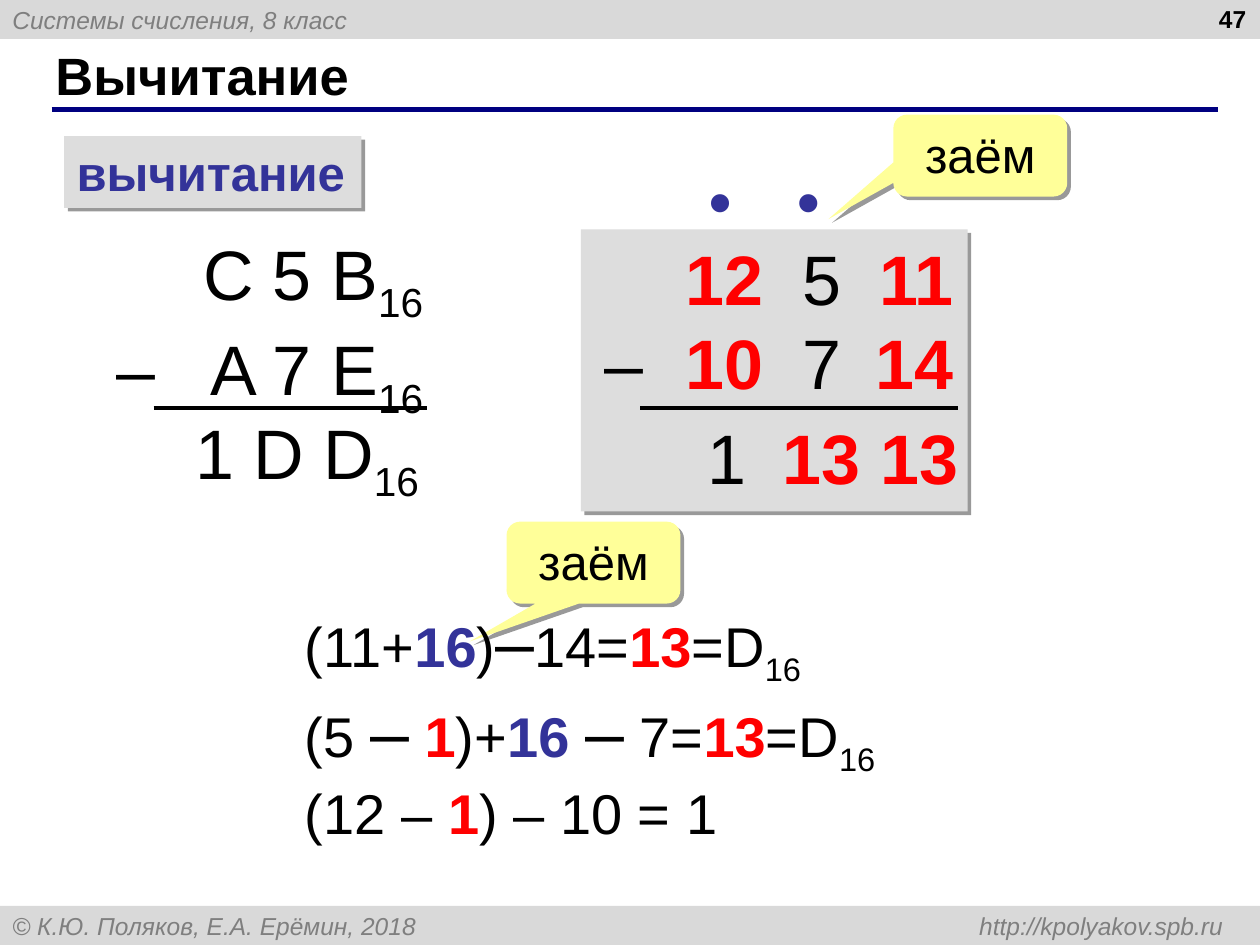
from lxml import etree
from pptx import Presentation
from pptx import util as u
from pptx.dml.color import RGBColor
from pptx.enum import shapes, text
from pptx.oxml.ns import qn

COLORS = {
    "black": "000000", "grey": "7F7F7F", "bar": "D9D9D9", "panel": "DDDDDD",
    "navy": "000080", "blue": "333399", "red": "FF0000", "note": "FFFF99",
}
COLS, ROWS = 100, 75
ALIGN = {"l": text.PP_ALIGN.LEFT, "c": text.PP_ALIGN.CENTER, "r": text.PP_ALIGN.RIGHT}
RECT = shapes.MSO_SHAPE.RECTANGLE
CALLOUT = shapes.MSO_SHAPE.ROUNDED_RECTANGULAR_CALLOUT


def rgb(name):
    return RGBColor.from_string(COLORS[name])


def red(t):
    return t, {"color": "red", "bold": True}


def blue(t):
    return t, {"color": "blue", "bold": True}


def big(t):
    return t, {"size": 40}


BASE = ("16", {"sub": True})


class Deck:
    font = "Arial"

    def __init__(self):
        self.prs = Presentation()
        self.prs.slide_width, self.prs.slide_height = u.Inches(10), u.Inches(7.5)
        self.s = self.prs.slides.add_slide(self.prs.slide_layouts[5])

    def grid(self, col, row):
        return int(self.prs.slide_width * col / COLS), int(self.prs.slide_height * row / ROWS)

    def box(self, at):
        return (*self.grid(*at[:2]), *self.grid(*at[2:]))

    def add_run(self, p, t, size, color="black", bold=False, italic=False, sub=False):
        r = p.add_run()
        r.text = t
        f = r.font
        f.name, f.size, f.bold, f.italic = self.font, u.Pt(size), bold, italic
        f.color.rgb = rgb(color)
        if sub:
            r._r.get_or_add_rPr().set("baseline", "-25000")

    def fill_text(self, sp, lines, size, align="l", tabs=(), anchor="TOP", wrap=True, **style):
        tf = sp.text_frame
        tf.word_wrap = wrap
        tf.auto_size = text.MSO_AUTO_SIZE.NONE
        tf.vertical_anchor = text.MSO_ANCHOR[anchor]
        for i, line in enumerate(lines):
            p = tf.add_paragraph() if i else tf.paragraphs[0]
            p.alignment = ALIGN[align]
            if tabs:
                tab_list = etree.SubElement(p._p.get_or_add_pPr(), qn("a:tabLst"))
                for pos in tabs:
                    etree.SubElement(tab_list, qn("a:tab"), pos=str(u.Inches(pos)), algn="r")
            for part in [line] if isinstance(line, str) else line:
                t, extra = (part, {}) if isinstance(part, str) else part
                self.add_run(p, t, **{"size": size, **style, **extra})

    def title(self, at, t):
        sp = self.s.shapes.title
        sp.left, sp.top, sp.width, sp.height = self.box(at)
        self.fill_text(sp, [t], 30, anchor="MIDDLE", bold=True)

    def label(self, at, lines, size, **style):
        self.fill_text(self.s.shapes.add_textbox(*self.box(at)), lines, size, **style)

    def panel(self, at, fill, lines, size, kind=RECT, tip=(), inset=0.1, shadow=True, **style):
        sp = self.s.shapes.add_shape(kind, *self.box(at))
        sp.shadow.inherit = False
        sp.fill.solid()
        sp.fill.fore_color.rgb = rgb(fill)
        sp.line.fill.background()
        for i, value in enumerate(tip):
            sp.adjustments[i] = value
        if shadow:
            effects = sp._element.spPr.find(qn("a:effectLst"))
            outer = etree.SubElement(effects, qn("a:outerShdw"), dist=str(u.Pt(3)),
                                     dir="2700000", algn="tl", rotWithShape="0")
            color = etree.SubElement(outer, qn("a:srgbClr"), val=COLORS["black"])
            etree.SubElement(color, qn("a:alpha"), val="40000")
        sp.text_frame.margin_left = u.Inches(inset)
        self.fill_text(sp, lines, size, **style)

    def bar(self, row, t, tabs=()):
        self.panel((0, row, COLS, 3.1), "bar", [t], 14, shadow=False, anchor="MIDDLE",
                   tabs=tabs, color="grey", italic=True)

    def note(self, col, row, tip):
        self.panel((col, row, 13.8, 6.5), "note", ["заём"], 28, kind=CALLOUT,
                   tip=(*tip, 0.167), align="c")

    def rule(self, col, end, row, width, color="black"):
        c = self.s.shapes.add_connector(shapes.MSO_CONNECTOR.STRAIGHT,
                                        *self.grid(col, row), *self.grid(end, row))
        c.line.width, c.line.color.rgb = u.Pt(width), rgb(color)
        etree.SubElement(c._element.spPr, qn("a:effectLst"))


def main():
    d = Deck()
    d.bar(0, "Системы счисления, 8 класс")
    d.bar(71.9, "© К.Ю. Поляков, Е.А. Ерёмин, 2018\thttp://kpolyakov.spb.ru", tabs=[9.61])
    d.rule(4.1, 96.7, 8.7, 3, "navy")
    d.title((3.4, 3.3, 91.6, 5.2), "Вычитание")
    d.label((76.6, -0.2, 23.3, 5.2), ["47"], 14, align="r", bold=True)
    d.panel((5.1, 10.8, 23.6, 5.7), "panel", ["вычитание"], 28, color="blue", bold=True)

    d.label((8.3, 17.8, 26.4, 22.4), [["\tС 5 B", BASE], ["–\tA 7 E", BASE]], 40, tabs=[2.43])
    d.label((14.5, 32, 19.7, 8.6), [["1 D D", BASE]], 40, wrap=False)
    d.rule(12.2, 33.9, 32.4, 2)

    d.note(40.2, 41.4, (-0.712, 0.963))
    d.panel((46.1, 18.2, 30.7, 22.4), "panel",
            [[red("\t12"), "\t5", red("\t11")], ["–", red("\t10"), "\t7", red("\t14")]],
            40, inset=0.19, tabs=[1.26, 1.88, 2.77])
    d.rule(50.8, 76, 32.4, 2)
    for col in (55.3, 62.3):
        d.label((col, 12.3, 4, 7), ["•"], 36, wrap=False, color="blue", bold=True)
    for col, width, digit in ((55.2, 5.1, "1"), (61.1, 8.1, red("13")), (68.9, 8.1, red("13"))):
        d.label((col, 32.4, width, 7.7), [[digit]], 40, wrap=False)

    d.label((23.2, 46.9, 53.2, 18.1), [
        ["(11+", blue("16"), ")", big("–"), "14=", red("13"), "=D", BASE],
        ["(5 ", big("–"), " ", red("1"), ")+", blue("16 "), big("–"), " 7=", red("13"), "=D", BASE],
        ["(12 – ", red("1"), ") – 10 = 1"],
    ], 32, wrap=False)
    d.note(70.9, 9.1, (-0.874, 0.776))
    d.prs.save("out.pptx")


if __name__ == "__main__":
    main()
